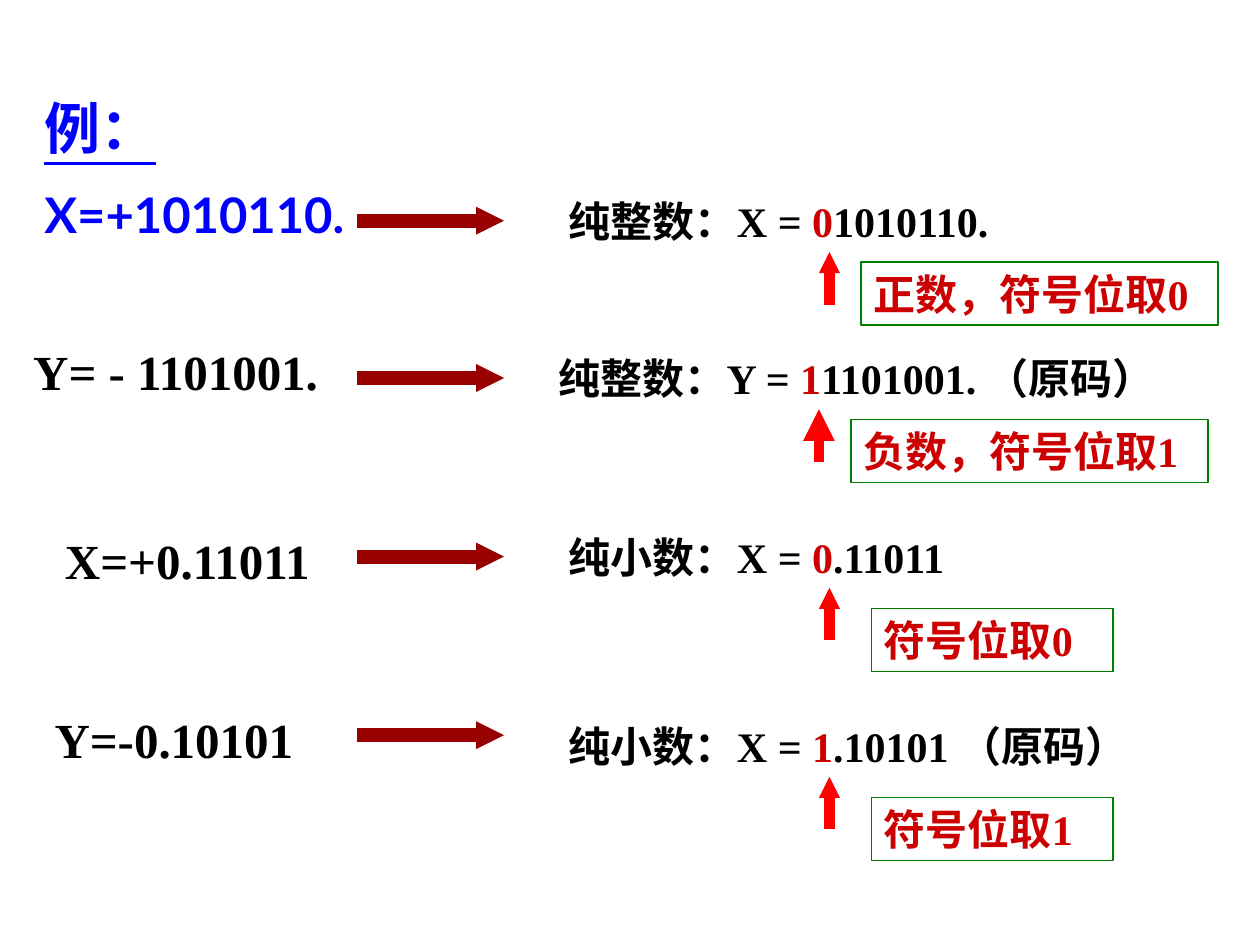
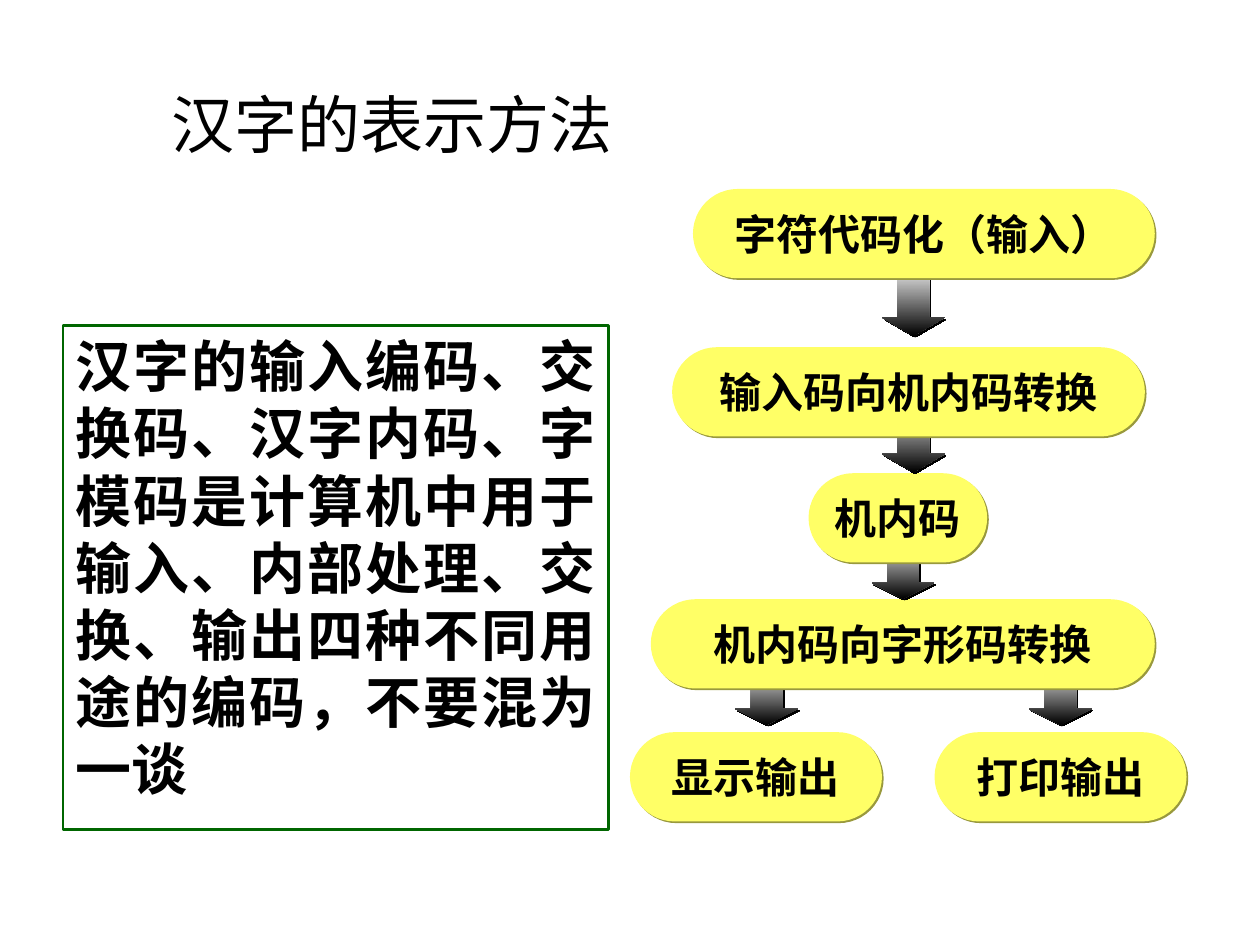
"""Build two slides on signed number codes and Chinese character encoding."""
from dataclasses import dataclass
from typing import Any, Optional

from lxml import etree
from pptx import Presentation
from pptx.dml.color import RGBColor
from pptx.enum.shapes import MSO_CONNECTOR, MSO_SHAPE
from pptx.enum.text import MSO_ANCHOR, MSO_AUTO_SIZE, PP_ALIGN
from pptx.oxml.ns import qn
from pptx.util import Cm, Pt

RECTANGLE, PILL, DOWN_ARROW = MSO_SHAPE.RECTANGLE, MSO_SHAPE.ROUNDED_RECTANGLE, MSO_SHAPE.DOWN_ARROW
STRAIGHT = MSO_CONNECTOR.STRAIGHT
TOP, MIDDLE, BOTTOM = MSO_ANCHOR.TOP, MSO_ANCHOR.MIDDLE, MSO_ANCHOR.BOTTOM
LEFT, CENTER, JUSTIFY = PP_ALIGN.LEFT, PP_ALIGN.CENTER, PP_ALIGN.JUSTIFY
FIT_SHAPE, NO_FIT = MSO_AUTO_SIZE.SHAPE_TO_FIT_TEXT, MSO_AUTO_SIZE.NONE

COLORS = {
    "black": "000000", "white": "FFFFFF", "blue": "0000FF", "sign": "CC0000",
    "arrow": "990000", "marker": "FF0000", "note_line": "008000",
    "panel_line": "006600", "step": "FFFF66", "step_shadow": "99993D",
}
SERIF, SANS, ROUND, CHINESE = "Times New Roman", "Arial", "Lato", "Noto Sans CJK SC"


@dataclass(frozen=True)
class Box:
    left: float
    top: float
    width: float
    height: float


@dataclass(frozen=True)
class TextStyle:
    size: float
    font: str = SERIF
    color: str = "black"
    bold: bool = True
    underline: bool = False
    asian_font: str = ROUND


@dataclass(frozen=True)
class NoteLayout:
    gap: float
    drop: float
    width: float


@dataclass(frozen=True)
class NumberRow:
    source: str
    source_box: Optional[Box]
    arrow_top: float
    result_box: Box
    prefix: str
    sign: str
    digits: str
    note: str
    note_layout: NoteLayout
    marker_head: str = "sm"


@dataclass(frozen=True)
class Step:
    text: str
    left: float
    top: float
    width: float
    arrow: Optional[Box] = None
    head: float = 0.25


INTEGER = NoteLayout(0.64, 1.48, 7.2)
FRACTION = NoteLayout(0.85, 1.69, 4.87)
BODY_TEXT = TextStyle(24)
SIGN_TEXT = TextStyle(24, color="sign")
SOURCE_TEXT = TextStyle(28)
LEAD_BOX = Box(0.64, 1.48, 24.13, 16.93)
TITLE_BOX = Box(3.2, 1.7, 10.13, 1.68)
PANEL_BOX = Box(1.27, 6.56, 11, 10.16)
STEP_HEIGHT = 1.8

ROWS = [
    NumberRow("X=+1010110.", None, 4.45, Box(11.22, 3.81, 11.63, 1.27),
              "纯整数：X = ", "0", "1010110.", "正数，符号位取0", INTEGER),
    NumberRow("Y= - 1101001.", Box(0.42, 6.77, 6.35, 1.44), 7.62, Box(11.01, 6.98, 13.34, 1.27),
              "纯整数：Y = ", "1", "1101001. （原码）", "负数，符号位取1", INTEGER, "med"),
    NumberRow("X=+0.11011", Box(1.06, 10.58, 5.93, 1.44), 11.22, Box(11.22, 10.58, 11.63, 1.27),
              "纯小数：X = ", "0", ".11011", "符号位取0", FRACTION),
    NumberRow("Y=-0.10101", Box(0.85, 14.18, 5.93, 1.44), 14.82, Box(11.22, 14.39, 13.13, 1.27),
              "纯小数：X = ", "1", ".10101 （原码）", "符号位取1", FRACTION),
]

STEPS = [
    Step("显示输出", 12.7, 14.76, 5.08, Box(14.82, 13.34, 1.27, 1.27)),
    Step("打印输出", 18.84, 14.76, 5.08, Box(20.74, 13.34, 1.27, 1.27)),
    Step("机内码向字形码转换", 13.12, 12.08, 10.16, Box(17.57, 10.8, 1.27, 1.27)),
    Step("机内码", 16.3, 9.54, 3.6, Box(17.78, 8.04, 1.27, 1.48), 0.29),
    Step("输入码向机内码转换", 13.55, 7, 9.53, Box(17.78, 5.29, 1.27, 1.48), 0.29),
    Step("字符代码化（输入）", 13.97, 3.81, 9.31),
]


def rgb(name: str) -> RGBColor:
    """Look up a named colour."""
    return RGBColor.from_string(COLORS[name])


def bounds(box: Box) -> tuple:
    """Turn a box in centimetres into lengths."""
    return Cm(box.left), Cm(box.top), Cm(box.width), Cm(box.height)


def place(shape: Any, box: Box) -> None:
    """Move and resize a placeholder."""
    shape.left, shape.top, shape.width, shape.height = bounds(box)


def add_run(paragraph: Any, text: str, style: TextStyle) -> None:
    """Append one formatted run."""
    run = paragraph.add_run()
    run.text = text
    font = run.font
    font.size, font.bold, font.underline = Pt(style.size), style.bold, style.underline
    font.color.rgb = rgb(style.color)
    font.name = style.font
    etree.SubElement(run._r.get_or_add_rPr(), qn("a:ea"), typeface=style.asian_font)


def write(shape: Any, runs: list, align: Any = LEFT, anchor: Any = TOP, fit: Any = FIT_SHAPE) -> None:
    """Fill the first paragraph of a shape with runs."""
    frame = shape.text_frame
    frame.word_wrap, frame.auto_size, frame.vertical_anchor = True, fit, anchor
    paragraph = frame.paragraphs[0]
    paragraph.alignment = align
    for text, style in runs:
        add_run(paragraph, text, style)


def add_text(slide: Any, box: Box, runs: list) -> None:
    """Add a plain text box."""
    write(slide.shapes.add_textbox(*bounds(box)), runs)


def add_frame(slide: Any, box: Box, line: str, width: float) -> Any:
    """Add an unfilled outlined rectangle."""
    shape = slide.shapes.add_shape(RECTANGLE, *bounds(box))
    shape.shadow.inherit = False
    shape.fill.background()
    shape.line.color.rgb = rgb(line)
    shape.line.width = Pt(width)
    return shape


def add_arrow(slide: Any, start: tuple, end: tuple, color: str, width: float, head: str = "sm") -> None:
    """Add a straight line with a triangle at its end."""
    connector = slide.shapes.add_connector(STRAIGHT, *map(Cm, start + end))
    connector.line.color.rgb = rgb(color)
    connector.line.width = Pt(width)
    etree.SubElement(connector.line._get_or_add_ln(), qn("a:tailEnd"), type="triangle", w=head, len=head)
    etree.SubElement(connector._element.spPr, qn("a:effectLst"))


def add_hard_shadow(shape: Any, color: str) -> None:
    """Give a shape a sharp diagonal shadow."""
    shape.shadow.inherit = False
    effects = shape._element.spPr.find(qn("a:effectLst"))
    shadow = etree.SubElement(effects, qn("a:outerShdw"), dist=str(Pt(1.4)), dir="2700000", algn="ctr")
    etree.SubElement(shadow, qn("a:srgbClr"), val=COLORS[color])


def add_row(slide: Any, row: NumberRow) -> None:
    """Draw one number, its code and the note on its sign bit."""
    if row.source_box:
        add_text(slide, row.source_box, [(row.source, SOURCE_TEXT)])
    add_arrow(slide, (7.2, row.arrow_top), (10.16, row.arrow_top), "arrow", 8)
    result, layout = row.result_box, row.note_layout
    add_text(slide, result, [(row.prefix, BODY_TEXT), (row.sign, SIGN_TEXT), (row.digits, BODY_TEXT)])
    marker_left, marker_top = result.left + 5.5, result.top + result.height
    add_arrow(slide, (marker_left, marker_top + 1.06), (marker_left, marker_top),
              "marker", 6, row.marker_head)
    note_box = Box(marker_left + layout.gap, result.top + layout.drop, layout.width, 1.27)
    write(add_frame(slide, note_box, "note_line", 1), [(row.note, SIGN_TEXT)])


def add_step(slide: Any, step: Step) -> None:
    """Draw one step of the flow, grouped with the arrow leading to it."""
    shapes = slide.shapes.add_group_shape().shapes if step.arrow else slide.shapes
    pill = shapes.add_shape(PILL, *bounds(Box(step.left, step.top, step.width, STEP_HEIGHT)))
    pill.adjustments[0] = 0.5
    pill.fill.solid()
    pill.fill.fore_color.rgb = rgb("step")
    pill.line.fill.background()
    add_hard_shadow(pill, "step_shadow")
    write(pill, [(step.text, BODY_TEXT)], CENTER, MIDDLE)
    if step.arrow:
        arrow = shapes.add_shape(DOWN_ARROW, *bounds(step.arrow))
        arrow.adjustments[0], arrow.adjustments[1] = 0.5, step.head
        arrow.fill.gradient()
        arrow.fill.gradient_angle = 270
        for stop, color, position in zip(arrow.fill.gradient_stops, ("white", "black"), (0, 1)):
            stop.color.rgb = rgb(color)
            stop.position = position
        arrow.line.fill.background()
        add_hard_shadow(arrow, "black")


def build_number_slide(presentation: Any) -> None:
    """Build the slide of signed number examples."""
    slide = presentation.slides.add_slide(presentation.slide_layouts[1])
    title = slide.shapes.title
    title._element.getparent().remove(title._element)
    body = slide.placeholders[1]
    place(body, LEAD_BOX)
    frame = body.text_frame
    frame.auto_size = NO_FIT
    leads = [
        ("例：", TextStyle(32, ROUND, "blue", underline=True), 0),
        (ROWS[0].source, TextStyle(28, ROUND, "blue"), 7),
    ]
    for index, (text, style, space) in enumerate(leads):
        paragraph = frame.add_paragraph() if index else frame.paragraphs[0]
        properties = paragraph._p.get_or_add_pPr()
        properties.set("marL", str(Cm(0.95)))
        properties.set("indent", str(Cm(-0.95)))
        etree.SubElement(properties, qn("a:buNone"))
        paragraph.line_spacing, paragraph.space_before = 1.2, Pt(space)
        add_run(paragraph, text, style)
    for row in ROWS:
        add_row(slide, row)


def build_character_slide(presentation: Any) -> None:
    """Build the slide on representing Chinese characters."""
    slide = presentation.slides.add_slide(presentation.slide_layouts[5])
    title = slide.shapes.title
    place(title, TITLE_BOX)
    title_text = TextStyle(36, CHINESE, bold=False, asian_font=CHINESE)
    write(title, [("汉字的表示方法", title_text)], LEFT, BOTTOM, NO_FIT)
    panel = add_frame(slide, PANEL_BOX, "panel_line", 1.5)
    summary = "汉字的输入编码、交换码、汉字内码、字模码是计算机中用于输入、内部处理、交换、输出四种不同用途的编码，不要混为一谈"
    write(panel, [(summary, TextStyle(32, SANS))], JUSTIFY, TOP, NO_FIT)
    for step in STEPS:
        add_step(slide, step)


def main() -> None:
    """Build and save the presentation."""
    presentation = Presentation()
    presentation.slide_width, presentation.slide_height = Cm(25.4), Cm(19.05)
    build_number_slide(presentation)
    build_character_slide(presentation)
    presentation.save("out.pptx")


if __name__ == "__main__":
    main()
